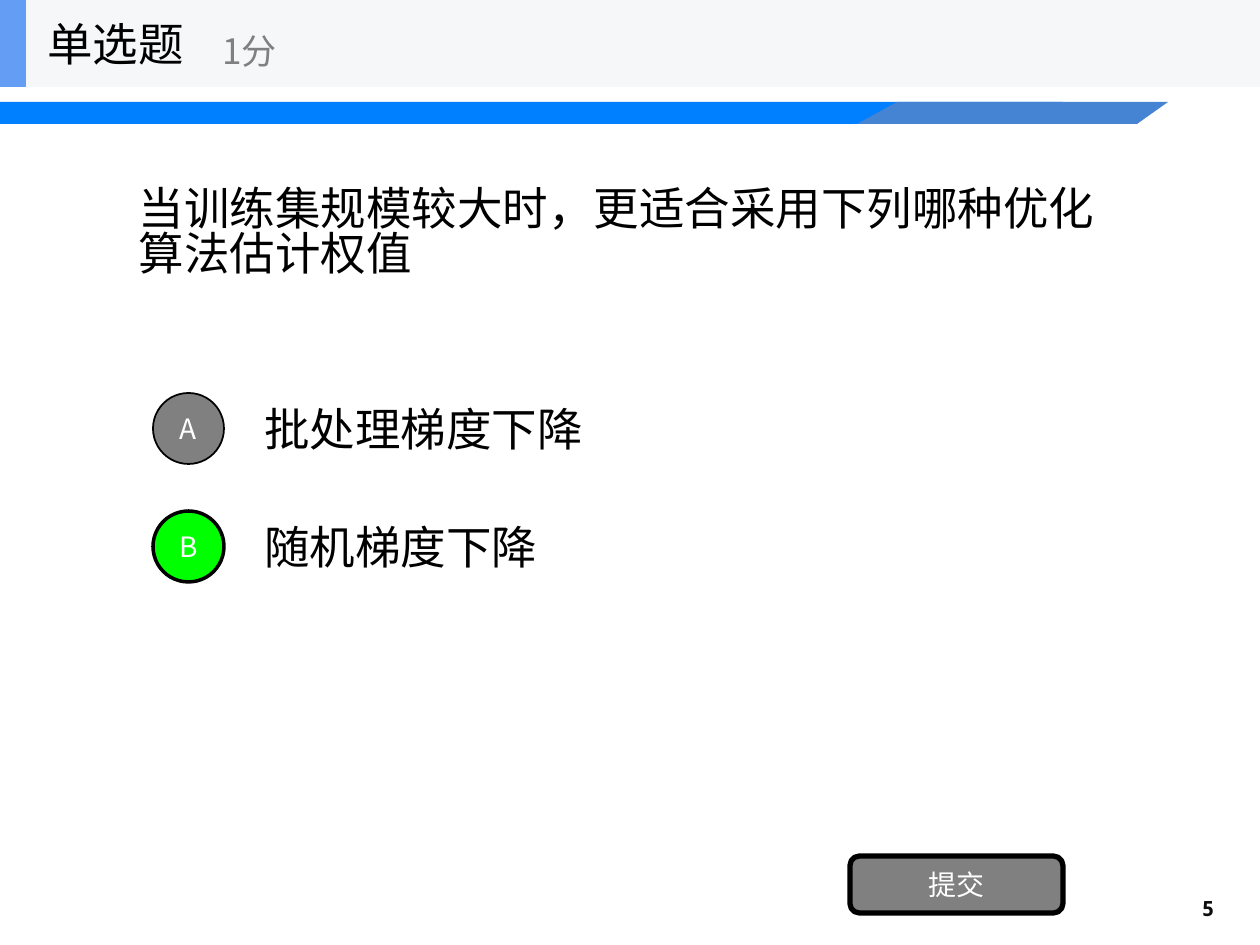
import pptx
import pptx.util
import pptx.dml.color
import pptx.enum.shapes
import pptx.enum.text
import pptx.oxml.ns
from lxml import etree

RGBColor = pptx.dml.color.RGBColor
SHAPES = pptx.enum.shapes.MSO_SHAPE
ALIGN = pptx.enum.text.PP_ALIGN

BLACK = RGBColor(0x00, 0x00, 0x00)
NEAR_BLACK = RGBColor(0x0D, 0x0D, 0x0D)
WHITE = RGBColor(0xFF, 0xFF, 0xFF)
GRAY = RGBColor(0x80, 0x80, 0x80)
GREEN = RGBColor(0x00, 0xFF, 0x00)
BRIGHT_BLUE = RGBColor(0x00, 0x80, 0xFF)
STEEL_BLUE = RGBColor(0x45, 0x84, 0xD3)
HEADER_GRAY = RGBColor(0xF6, 0xF7, 0xF8)
HEADER_BLUE = RGBColor(0x63, 0x9E, 0xF4)

PX = 914400 / 126

presentation = pptx.Presentation()
presentation.slide_width = round(1260 * PX)
presentation.slide_height = round(945 * PX)
slide = presentation.slides.add_slide(presentation.slide_layouts[5])


def write_text(shape, text, size=26, color=BLACK, align=ALIGN.LEFT,
               font="Noto Sans CJK SC", bold=False, spacing=None):
    frame = shape.text_frame
    frame.word_wrap = True
    frame.auto_size = pptx.enum.text.MSO_AUTO_SIZE.NONE
    frame.vertical_anchor = pptx.enum.text.MSO_ANCHOR.MIDDLE
    paragraph = frame.paragraphs[0]
    paragraph.alignment = align
    paragraph.line_spacing = spacing
    run = paragraph.add_run()
    run.text = text
    run.font.size = pptx.util.Pt(size)
    run.font.bold = bold
    run.font.color.rgb = color
    run.font.name = font
    east_asian = etree.SubElement(run.font._element, pptx.oxml.ns.qn("a:ea"))
    east_asian.set("typeface", font)


def add_box(kind, box, fill, line_width=0):
    shape = slide.shapes.add_shape(kind, *[round(value * PX) for value in box])
    shape.shadow.inherit = False
    shape.fill.solid()
    shape.fill.fore_color.rgb = fill
    if line_width:
        shape.line.color.rgb = BLACK
        shape.line.width = pptx.util.Pt(line_width)
    else:
        shape.line.fill.background()
    return shape


question = slide.shapes.title
question.left, question.top, question.width, question.height = [
    round(value * PX) for value in (126, 87, 1008, 295)]
write_text(question, "当训练集规模较大时，更适合采用下列哪种优化算法估计权值", spacing=0.82)

add_box(SHAPES.RECTANGLE, (0, 102, 1063, 22), BRIGHT_BLUE)
builder = slide.shapes.build_freeform(857, 124, scale=PX)
builder.add_line_segments([(1137, 124), (1168, 102), (897, 102)], close=True)
ribbon = builder.convert_to_shape()
ribbon.shadow.inherit = False
ribbon.fill.solid()
ribbon.fill.fore_color.rgb = STEEL_BLUE
ribbon.line.fill.background()

add_box(SHAPES.RECTANGLE, (0, 0, 1260, 87), HEADER_GRAY)
add_box(SHAPES.RECTANGLE, (0, 0, 26, 87), HEADER_BLUE)

answers = [("A", "批处理梯度下降", GRAY, 1), ("B", "随机梯度下降", GREEN, 2)]
labels = [
    ((35, 0, 262, 87), "单选题", {}),
    ((210, 15, 315, 71), "1分", {"size": 20, "color": GRAY}),
    ((1149, 883, 78, 50), "5", {"size": 12, "color": NEAR_BLACK, "bold": True,
                                "align": ALIGN.RIGHT, "font": "Noto Sans Mono"}),
]
button_format = {"size": 16, "color": WHITE, "align": ALIGN.CENTER}

for index, (letter, answer, fill, line_width) in enumerate(answers):
    top = 384 + 118 * index
    labels.append(((252, top, 882, 88), answer, {}))
    circle = add_box(SHAPES.OVAL, (153, top + 9, 71, 71), fill, line_width)
    circle.text_frame.margin_left = circle.text_frame.margin_right = 0
    write_text(circle, letter, **button_format)

for box, text, text_format in labels:
    label = slide.shapes.add_textbox(*[round(value * PX) for value in box])
    write_text(label, text, **text_format)

submit = add_box(SHAPES.ROUNDED_RECTANGLE, (850, 856, 213, 57), GRAY, 3)
write_text(submit, "提交", **button_format)

presentation.save("out.pptx")
